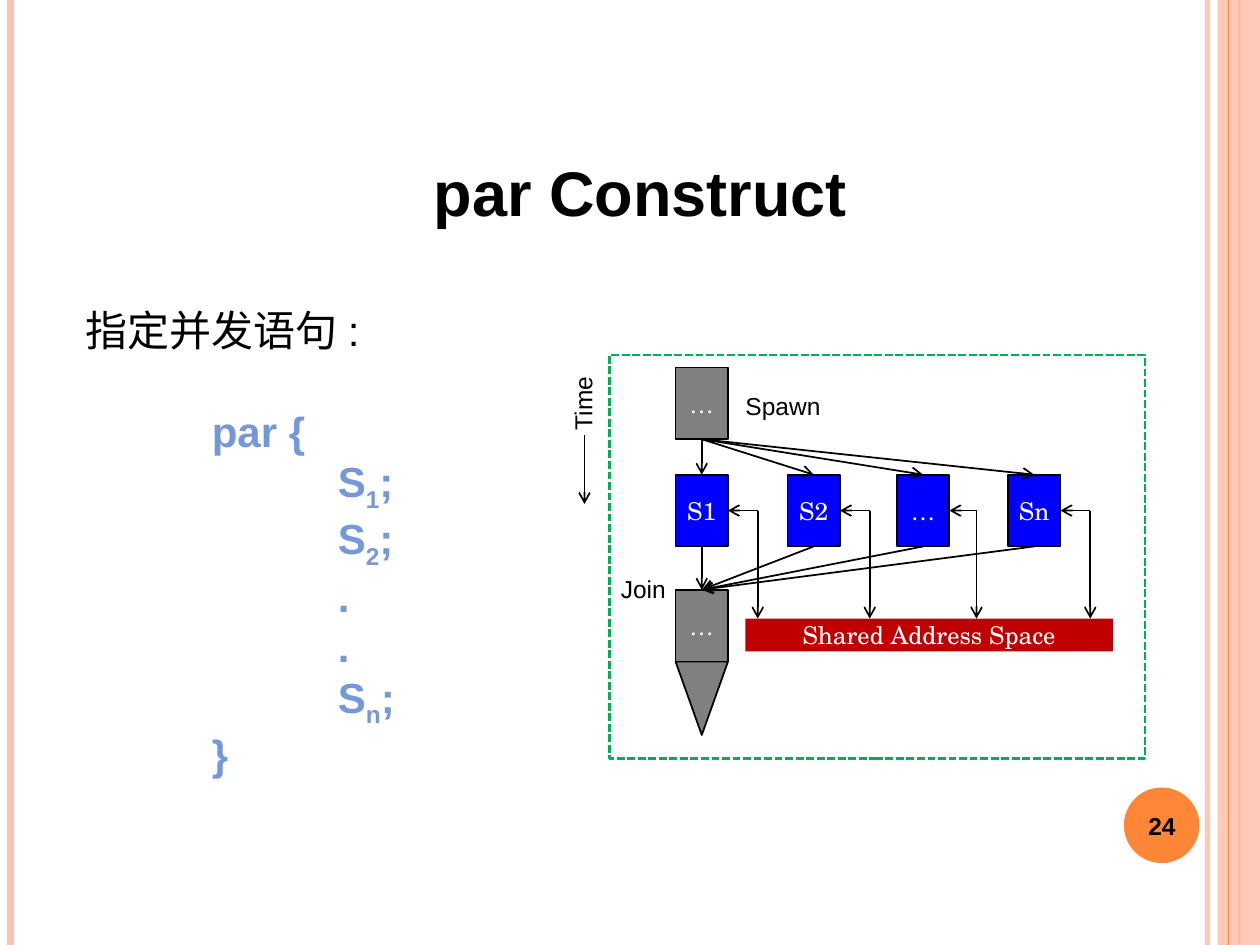
from dataclasses import dataclass
from typing import Optional

from lxml import etree
from pptx import Presentation
from pptx import util as u
from pptx.dml import color as dc
from pptx.enum import dml, shapes, text
from pptx.oxml import ns

COLORS = {
    "black": "000000", "white": "FFFFFF", "orange": "FE8637", "peach": "FEC3AE",
    "code": "7598D9", "gray": "808080", "blue": "0000FF", "red": "C00000",
    "green": "00B050",
}
SANS, SERIF = "Arial", "TeX Gyre Schola"
NODE_W, NODE_H = 30, 41
TOP, LEFT, BOTTOM, RIGHT = range(4)


@dataclass
class Stripe:
    x: float
    color: str
    width: float
    opacity: Optional[int] = None


@dataclass
class Node:
    label: str
    x: float
    y: float
    fill: str


@dataclass
class Label:
    label: str
    x: float
    y: float
    w: float
    angle: float = 0


def rgb(name: str) -> dc.RGBColor:
    return dc.RGBColor.from_string(COLORS[name])


def set_opacity(fill_parent, percent: int) -> None:
    clr = fill_parent.find(".//" + ns.qn("a:srgbClr"))
    etree.SubElement(clr, ns.qn("a:alpha")).set("val", str(percent * 1000))


def style_font(font, size: float, name: str, color: str, bold: bool = False) -> None:
    font.size, font.name, font.bold = u.Pt(size), name, bold
    font.color.rgb = rgb(color)


def add_line(s, x1: float, y1: float, x2: float, y2: float, color: str = "black",
             width: float = 1, arrow: bool = False):
    cn = s.shapes.add_connector(shapes.MSO_CONNECTOR.STRAIGHT,
                                u.Pt(x1), u.Pt(y1), u.Pt(x2), u.Pt(y2))
    cn.line.color.rgb, cn.line.width = rgb(color), u.Pt(width)
    if arrow:
        etree.SubElement(cn.line._get_or_add_ln(), ns.qn("a:tailEnd")).set("type", "arrow")
    etree.SubElement(cn._element.spPr, ns.qn("a:effectLst"))
    return cn


def add_arrow(s, x1: float, y1: float, x2: float, y2: float):
    return add_line(s, x1, y1, x2, y2, arrow=True)


def join_nodes(s, start, end) -> None:
    cn = add_arrow(s, 0, 0, 0, 0)
    cn.begin_connect(start, BOTTOM)
    cn.end_connect(end, TOP)


def add_block(s, kind, x: float, y: float, w: float, h: float,
              fill: Optional[str] = None, line: Optional[str] = None, width: float = 1):
    sp = s.shapes.add_shape(kind, u.Pt(x), u.Pt(y), u.Pt(w), u.Pt(h))
    sp.shadow.inherit = False
    if fill:
        sp.fill.solid()
        sp.fill.fore_color.rgb = rgb(fill)
    else:
        sp.fill.background()
    if line:
        sp.line.color.rgb, sp.line.width = rgb(line), u.Pt(width)
    else:
        sp.line.fill.background()
    return sp


def set_centered(sp, label: str, name: str, color: str, bold: bool = False) -> None:
    tf = sp.text_frame
    tf.text = label
    tf.vertical_anchor = text.MSO_ANCHOR.MIDDLE
    p = tf.paragraphs[0]
    p.alignment = text.PP_ALIGN.CENTER
    style_font(p.runs[0].font, 14, name, color, bold)


def add_node(s, node: Node):
    sp = add_block(s, RECT, node.x, node.y, NODE_W, NODE_H, node.fill, "black")
    sp.text_frame.margin_left = sp.text_frame.margin_right = 0
    set_centered(sp, node.label, SERIF, "white")
    return sp


def add_label(s, label: Label) -> None:
    sp = s.shapes.add_textbox(u.Pt(label.x), u.Pt(label.y), u.Pt(label.w), u.Pt(17))
    sp.rotation = label.angle
    tf = sp.text_frame
    tf.margin_left = tf.margin_right = tf.margin_top = tf.margin_bottom = 0
    tf.word_wrap = False
    tf.text = label.label
    style_font(tf.paragraphs[0].runs[0].font, 14, SANS, "black")


def add_code_line(tf, line: str, subscript: str = "", end: str = ""):
    p = tf.add_paragraph()
    tabs = etree.SubElement(p._p.get_or_add_pPr(), ns.qn("a:tabLst"))
    for stop in (72, 144):
        etree.SubElement(tabs, ns.qn("a:tab"), pos=str(u.Pt(stop)), algn="l")
    for part in filter(None, (line, subscript, end)):
        r = p.add_run()
        r.text = part
        style_font(r.font, 24, SANS, "code", True)
        if part == subscript:
            r._r.get_or_add_rPr().set("baseline", "-25000")
    return p


RECT = shapes.MSO_SHAPE.RECTANGLE
prs = Presentation()
prs.slide_width, prs.slide_height = u.Pt(720), u.Pt(540)
s = prs.slides.add_slide(prs.slide_layouts[6])

# Edge stripes and side band
for stripe in (Stripe(690, "peach", 3, 93), Stripe(6, "peach", 4.5),
               Stripe(708, "orange", 1.5)):
    cn = add_line(s, stripe.x, 0, stripe.x, 540, stripe.color, stripe.width)
    if stripe.opacity:
        set_opacity(cn._element.spPr, stripe.opacity)
band = add_block(s, RECT, 696, 0, 24, 540, "peach")
set_opacity(band._element.spPr, 87)
add_line(s, 702, 0, 702, 540, "orange", 0.75)

# Page number
badge = add_block(s, shapes.MSO_SHAPE.OVAL, 642.25, 450, 43.2, 43.2, "orange")
number = s.shapes.add_textbox(u.Pt(640), u.Pt(451.5), u.Pt(48), u.Pt(41))
number.text_frame.word_wrap = True
set_centered(number, "24", SANS, "black", True)

# Title, lead-in and code
body = s.shapes.add_textbox(u.Pt(42), u.Pt(84), u.Pt(648), u.Pt(356))
tf = body.text_frame
tf.word_wrap = True
tf.text = "par Construct"
p = tf.paragraphs[0]
p.alignment = text.PP_ALIGN.CENTER
style_font(p.runs[0].font, 36, SANS, "black", True)
p = tf.add_paragraph()
p.text = "指定并发语句:"
p.space_before = u.Pt(43)
style_font(p.runs[0].font, 24, SANS, "black")
add_code_line(tf, "\tpar {").space_before = u.Pt(29)
for line in (("\t\tS", "1", ";"), ("\t\tS", "2", ";"), ("\t\t.",), ("\t\t.",),
             ("\t\tS", "n", ";"), ("\t}",)):
    add_code_line(tf, *line)

# Spawning, parallel and joining nodes
spawn = add_node(s, Node("…", 386, 210, "gray"))
workers = [add_node(s, Node(label, x, 271.25, "blue"))
           for label, x in (("S1", 386), ("S2", 450), ("…", 512.5), ("Sn", 576))]
tip = add_block(s, shapes.MSO_SHAPE.ISOSCELES_TRIANGLE, 386, 378, NODE_W, 42,
                "gray", "black")
tip.rotation = 180
join = add_node(s, Node("…", 386, 337, "gray"))
for worker in workers:
    join_nodes(s, spawn, worker)
    join_nodes(s, worker, join)

# Shared memory, linked to every parallel node
bar_y, link_y = 353.5, 271.25 + NODE_H / 2
bar = add_block(s, RECT, 426, bar_y, 210, 18.75, "red")
set_centered(bar, "Shared Address Space", SERIF, "white")
for worker, x in zip(workers, (433, 497, 558, 623)):
    add_arrow(s, x, link_y, x - 17, link_y).end_connect(worker, RIGHT)
    add_arrow(s, x, link_y, x, bar_y)

# Labels, time axis and frame
for label in (Label("Time", 317.5, 222, 31, 270), Label("Spawn", 426, 223.5, 43),
              Label("Join", 354.75, 328, 26)):
    add_label(s, label)
add_arrow(s, 334, 248.5, 334, 288)
frame = add_block(s, RECT, 348.25, 203, 306, 230.5, line="green", width=1.5)
frame.line.dash_style = dml.MSO_LINE.SQUARE_DOT

prs.save("out.pptx")
